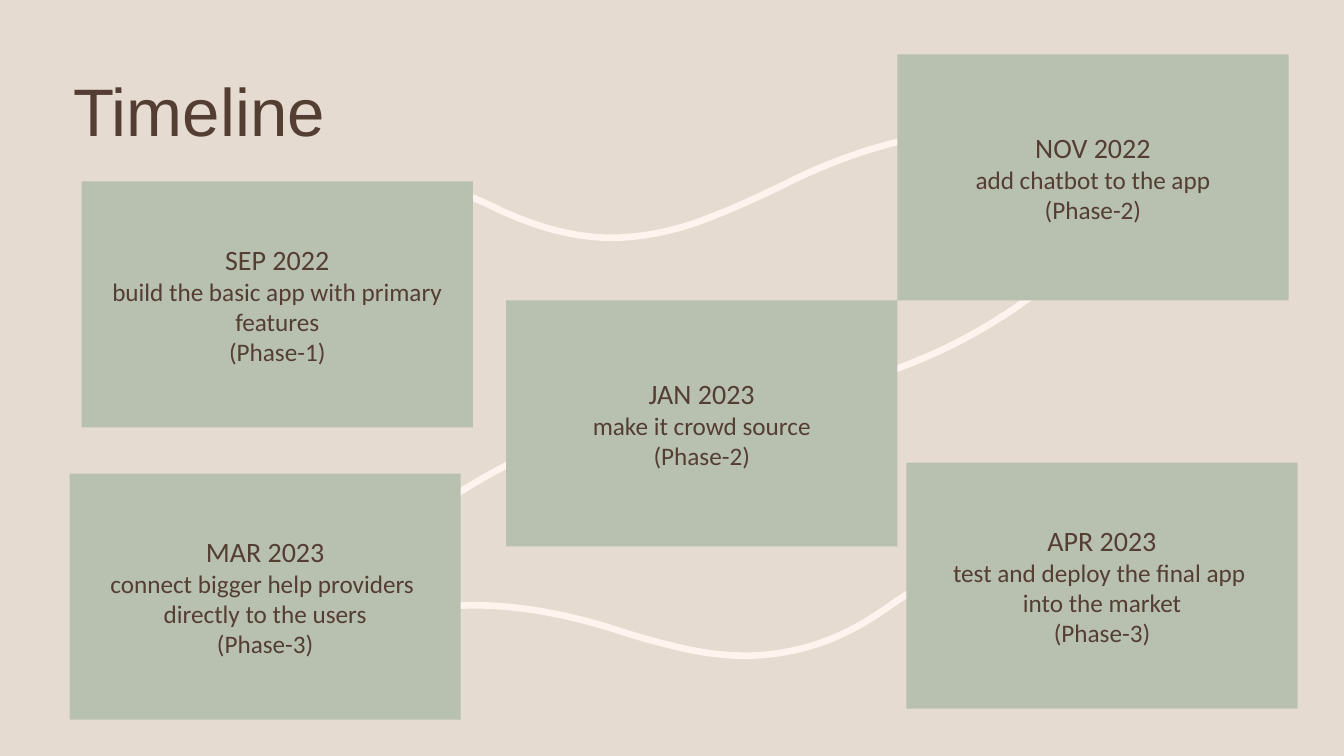
import pptx
import pptx.util
import pptx.dml.color
import pptx.enum.shapes
import pptx.enum.text
import pptx.oxml.ns
import lxml.etree

Inches = pptx.util.Inches
Pt = pptx.util.Pt

SAND, SAGE, BROWN, CREAM = "E6DBD0", "B8C0B0", "543E34", "FEF3ED"
CARD_WIDTH, CARD_HEIGHT = 3.88, 2.44

CONNECTING_CURVES = [
    [(8.33, 3.83), (9.13, 3.63), (9.85, 3.27), (10.47, 2.75)],
    [(5.84, 4.28), (5.09, 4.52), (4.45, 4.9), (3.89, 5.39)],
    [(3.07, 2.23), (3.5, 1.87), (3.98, 1.77), (4.49, 1.9),
     (4.66, 1.94), (4.81, 2.01), (4.97, 2.09),
     (5.3, 2.24), (5.65, 2.35), (6.04, 2.36),
     (6.37, 2.36), (6.7, 2.29), (7.01, 2.17),
     (7.37, 2.03), (7.57, 1.93), (7.78, 1.83),
     (8.01, 1.71), (9.4, 1.03), (10.27, 1.46)],
    [(9.2, 5.79), (9.04, 5.86), (8.91, 5.95), (8.77, 6.05),
     (8.48, 6.25), (8.15, 6.41), (7.78, 6.47),
     (7.46, 6.53), (7.14, 6.51), (6.81, 6.44),
     (6.45, 6.36), (6.24, 6.29), (6.02, 6.22),
     (5.78, 6.15), (4.34, 5.7), (3.47, 6.36)],
]

MILESTONES = [
    (0.81, 1.8, "SEP 2022", ["build the basic app with primary features", "(Phase-1)"]),
    (8.9, 0.54, "NOV 2022", ["add chatbot to the app", "(Phase-2)"]),
    (5.02, 2.98, "JAN 2023", ["make it crowd source", "(Phase-2)"]),
    (0.69, 4.7, "MAR 2023",
     ["connect bigger help providers ", "directly to the users", "(Phase-3)"]),
    (8.99, 4.59, "APR 2023",
     ["test and deploy the final app ", "into the market", "(Phase-3)"]),
]


def color(hex_code):
    return pptx.dml.color.RGBColor.from_string(hex_code)


def style_font(paragraph, name, size):
    paragraph.font.name = name
    paragraph.font.size = Pt(size)
    paragraph.font.color.rgb = color(BROWN)


def bend_segments(curve):
    qn = pptx.oxml.ns.qn
    outline = next(curve._element.iter(qn("a:path")))
    segments = outline.findall(qn("a:lnTo"))
    for start in range(0, len(segments), 3):
        bend = lxml.etree.SubElement(outline, qn("a:cubicBezTo"))
        for segment in segments[start:start + 3]:
            bend.append(segment[0])
            outline.remove(segment)


def add_curve(slide, controls):
    points = [(Inches(x), Inches(y)) for x, y in controls]
    builder = slide.shapes.build_freeform(*points[0])
    builder.add_line_segments(points[1:], close=False)
    curve = builder.convert_to_shape()
    bend_segments(curve)
    curve.shadow.inherit = False
    curve.fill.background()
    curve.line.color.rgb = color(CREAM)
    curve.line.width = Pt(4.75)


def add_title(slide, text):
    title = slide.shapes.add_textbox(Inches(0.63), Inches(0.77), Inches(10), Inches(0.74))
    frame = title.text_frame
    frame.word_wrap = True
    frame.vertical_anchor = pptx.enum.text.MSO_ANCHOR.MIDDLE
    heading = frame.paragraphs[0]
    heading.text = text
    heading.line_spacing = 0.9
    style_font(heading, "Arial", 48)


def add_milestone(slide, left, top, date, details):
    card = slide.shapes.add_shape(
        pptx.enum.shapes.MSO_SHAPE.RECTANGLE,
        Inches(left), Inches(top), Inches(CARD_WIDTH), Inches(CARD_HEIGHT),
    )
    card.shadow.inherit = False
    card.fill.solid()
    card.fill.fore_color.rgb = color(SAGE)
    card.line.fill.background()
    frame = card.text_frame
    frame.word_wrap = True
    frame.vertical_anchor = pptx.enum.text.MSO_ANCHOR.MIDDLE
    frame.text = "\n".join([date, *details])
    for index, paragraph in enumerate(frame.paragraphs):
        paragraph.alignment = pptx.enum.text.PP_ALIGN.CENTER
        style_font(paragraph, "Calibri", 18 if index else 20)


def main():
    presentation = pptx.Presentation()
    presentation.slide_width = Inches(13.33)
    presentation.slide_height = Inches(7.5)
    slide = presentation.slides.add_slide(presentation.slide_layouts[6])
    slide.background.fill.solid()
    slide.background.fill.fore_color.rgb = color(SAND)
    for controls in CONNECTING_CURVES:
        add_curve(slide, controls)
    add_title(slide, "Timeline")
    for milestone in MILESTONES:
        add_milestone(slide, *milestone)
    presentation.save("out.pptx")


if __name__ == "__main__":
    main()
